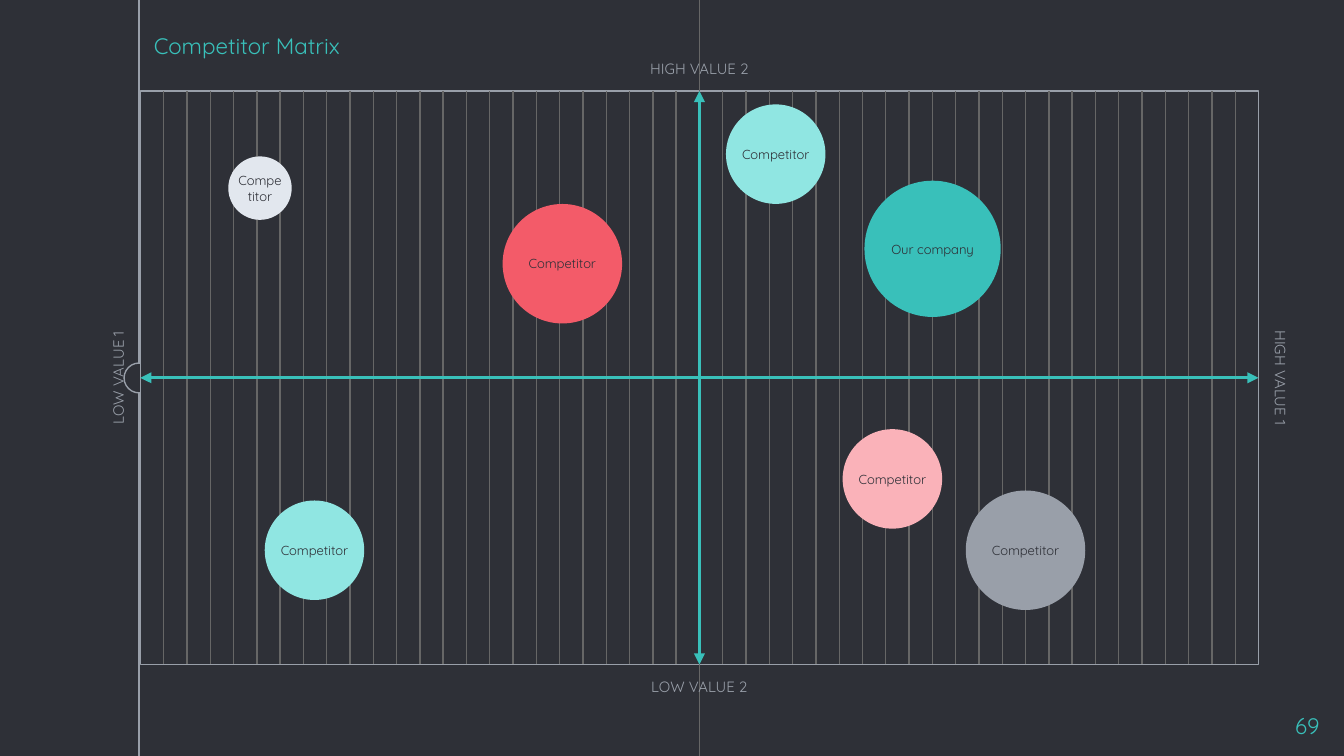
from pptx import Presentation
from pptx.dml.color import RGBColor
from pptx.enum.shapes import MSO_CONNECTOR, MSO_SHAPE
from pptx.enum.text import MSO_ANCHOR as ANCHOR, MSO_AUTO_SIZE, PP_ALIGN as ALIGN
from pptx.oxml.ns import qn
from pptx.util import Pt
from lxml.etree import SubElement

FONT = "Quicksand"
DARK = RGBColor(0x2E, 0x30, 0x37)
GREY = RGBColor(0x99, 0x9F, 0xA9)
GRID = RGBColor(0x66, 0x66, 0x66)
TEAL = RGBColor(0x39, 0xC0, 0xBA)
MINT = RGBColor(0x90, 0xE6, 0xE2)
RED = RGBColor(0xF3, 0x5B, 0x69)
PINK = RGBColor(0xFA, 0xB2, 0xB9)
PALE = RGBColor(0xE2, 0xE7, 0xEE)

SLIDE_W, SLIDE_H = 720, 405
MATRIX = (75.2, 48.8, 599, 307.2)  # left, top, width, height
GRID_COLUMNS = 48
LABEL_GAP = 12

# label, fill, centre x and y within the matrix, diameter
BUBBLES = [
    ("Our company", TEAL, 424.4, 84.5, 73),
    ("Competitor", RED, 226.1, 92.5, 64),
    ("Competitor", MINT, 93.3, 246, 53.3),
    ("Competitor", PINK, 402.9, 207.8, 53.3),
    ("Competitor", GREY, 474.2, 246, 64),
    ("Competitor", MINT, 340.4, 33.8, 53.3),
    ("Competitor", PALE, 64.1, 52, 34),
]


def place(sp, x, y, w, h):
    sp.left, sp.top, sp.width, sp.height = Pt(x), Pt(y), Pt(w), Pt(h)


def write(sp, text, size, color, align=ALIGN.CENTER, anchor=ANCHOR.MIDDLE, inset=0):
    tf = sp.text_frame
    tf.word_wrap = True
    tf.auto_size = MSO_AUTO_SIZE.NONE
    tf.vertical_anchor = anchor
    tf.margin_left = tf.margin_right = tf.margin_top = tf.margin_bottom = Pt(inset)
    p = tf.paragraphs[0]
    p.alignment = align
    r = p.add_run()
    r.text = text
    r.font.name, r.font.size = FONT, Pt(size)
    r.font.color.rgb = color


def add_line(shapes, x1, y1, x2, y2, color, width=0.75, arrows=False):
    line = shapes.add_connector(MSO_CONNECTOR.STRAIGHT, Pt(x1), Pt(y1), Pt(x2), Pt(y2))
    line.line.color.rgb = color
    line.line.width = Pt(width)
    if arrows:
        ln = line.line._get_or_add_ln()
        for end in ("a:headEnd", "a:tailEnd"):
            SubElement(ln, qn(end), type="triangle")
    SubElement(line._element.spPr, qn("a:effectLst"))


def add_filled(shapes, kind, x, y, w, h, fill, outline=None):
    sp = shapes.add_shape(kind, Pt(x), Pt(y), Pt(w), Pt(h))
    sp.shadow.inherit = False
    sp.fill.solid()
    sp.fill.fore_color.rgb = fill
    if outline is None:
        sp.line.fill.background()
    else:
        sp.line.color.rgb = outline
        sp.line.width = Pt(0.75)
    return sp


def add_side_rule(shapes, x, height, marker_d=16):
    """Draw the full-height rule with a round marker halfway down."""
    add_line(shapes, x, 0, x, height, GREY)
    add_filled(shapes, MSO_SHAPE.OVAL, x - marker_d / 2, (height - marker_d) / 2,
               marker_d, marker_d, DARK, GREY)


def add_title(slide, x, y, w, h):
    title = slide.shapes.title
    place(title, x, y, w, h)
    write(title, "Competitor Matrix", 12, TEAL, ALIGN.LEFT, inset=7.2)


def add_grid(shapes, x, y, w, h):
    add_filled(shapes, MSO_SHAPE.RECTANGLE, x, y, w, h, DARK, GREY)
    for column in range(1, GRID_COLUMNS):
        if column != GRID_COLUMNS // 2:
            column_x = x + column * w / GRID_COLUMNS
            add_line(shapes, column_x, y, column_x, y + h, GRID)
    add_line(shapes, x + w / 2, 0, x + w / 2, SLIDE_H, GRID)


def add_axes(shapes, x, y, w, h):
    mid_x, mid_y = x + w / 2, y + h / 2
    add_line(shapes, mid_x, y, mid_x, y + h, TEAL, 1.5, arrows=True)
    add_line(shapes, x, mid_y, x + w, mid_y, TEAL, 1.5, arrows=True)
    label_w, label_h = 94, 12
    for text, cx, cy, rotation in [
        ("LOW VALUE 1", x - LABEL_GAP, mid_y, 270),
        ("HIGH VALUE 1", x + w + LABEL_GAP, mid_y, 90),
        ("LOW VALUE 2", mid_x, y + h + LABEL_GAP, 0),
        ("HIGH VALUE 2", mid_x, y - LABEL_GAP, 0),
    ]:
        label = shapes.add_textbox(Pt(cx - label_w / 2), Pt(cy - label_h / 2),
                                   Pt(label_w), Pt(label_h))
        label.rotation = rotation
        write(label, text, 8, GREY)


def add_bubbles(shapes, x, y):
    for text, fill, cx, cy, d in BUBBLES:
        bubble = add_filled(shapes, MSO_SHAPE.OVAL, x + cx - d / 2, y + cy - d / 2, d, d, fill)
        write(bubble, text, 7, DARK)


def add_page_number(shapes, x, y, w, h):
    number = shapes.add_textbox(Pt(x), Pt(y), Pt(w), Pt(h))
    write(number, "69", 12, TEAL, ALIGN.RIGHT, ANCHOR.TOP, 7.2)


def main():
    prs = Presentation()
    prs.slide_width, prs.slide_height = Pt(SLIDE_W), Pt(SLIDE_H)
    slide = prs.slides.add_slide(prs.slide_layouts[5])
    slide.background.fill.solid()
    slide.background.fill.fore_color.rgb = DARK

    x, y, w, h = MATRIX
    add_side_rule(slide.shapes, 74.5, SLIDE_H)
    add_title(slide, x, 0, 608.4, y)
    add_grid(slide.shapes, x, y, w, h)
    add_page_number(slide.shapes, 671, 374.5, 43, 24.5)
    add_axes(slide.shapes, x, y, w, h)
    add_bubbles(slide.shapes, x, y)
    prs.save("out.pptx")


if __name__ == "__main__":
    main()
